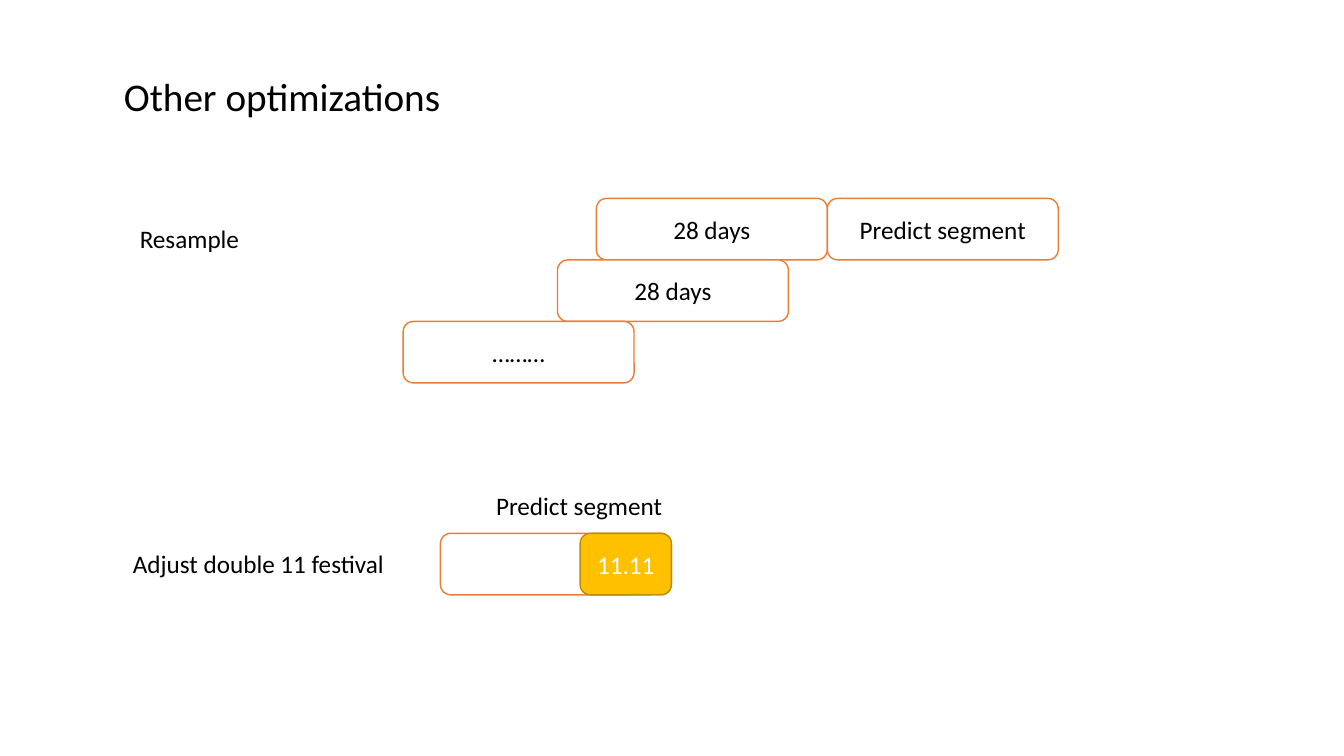
"""Build the slide on resampling and festival adjustment."""
from pptx import Presentation
from pptx.dml.color import RGBColor
from pptx.enum.shapes import MSO_SHAPE
from pptx.enum.text import MSO_ANCHOR, MSO_AUTO_SIZE, PP_ALIGN
from pptx.util import Cm, Pt

BLACK = RGBColor(0x00, 0x00, 0x00)
WHITE = RGBColor(0xFF, 0xFF, 0xFF)
ORANGE = RGBColor(0xED, 0x7D, 0x31)
GOLD = RGBColor(0xFF, 0xC0, 0x00)
DARK_GOLD = RGBColor(0xBD, 0x8E, 0x00)
ROUNDED = MSO_SHAPE.ROUNDED_RECTANGLE
LEFT, CENTER = PP_ALIGN.LEFT, PP_ALIGN.CENTER
TOP, MIDDLE = MSO_ANCHOR.TOP, MSO_ANCHOR.MIDDLE
GROW = MSO_AUTO_SIZE.SHAPE_TO_FIT_TEXT

SEGMENT_WIDTH = 5.82
SEGMENT_HEIGHT = 1.55
RESAMPLE_LEFT = 15.03
RESAMPLE_TOP = 5
FESTIVAL_LEFT = 11.1
FESTIVAL_TOP = 13.44
FESTIVAL_WIDTH = 2.3


def write(shape, text, size, color, align, anchor):
    frame = shape.text_frame
    frame.vertical_anchor = anchor
    para = frame.paragraphs[0]
    para.text = text
    para.alignment = align
    para.font.name = "Calibri"
    para.font.size = Pt(size)
    para.font.color.rgb = color


deck = Presentation()
deck.slide_width = Cm(33.87)
deck.slide_height = Cm(19.05)
page = deck.slides.add_slide(deck.slide_layouts[5])

title = page.shapes.title
title.left, title.top, title.width, title.height = Cm(2.87), Cm(1.7), Cm(12.9), Cm(1.45)
write(title, "Other optimizations", 28, BLACK, LEFT, TOP)
title.text_frame.word_wrap = True
title.text_frame.auto_size = GROW

labels = [
    ("Resample", 3.25, 5.51, 3.05, CENTER),
    ("Adjust double 11 festival", 3.1, 13.69, 6.91, LEFT),
    ("Predict segment", 12.22, 12.24, 4.75, CENTER),
]
for text, left, top, width, align in labels:
    label = page.shapes.add_textbox(Cm(left), Cm(top), Cm(width), Cm(1.02))
    write(label, text, 18, BLACK, align, TOP)
    label.text_frame.word_wrap = False
    label.text_frame.auto_size = GROW

festival_day_left = FESTIVAL_LEFT + SEGMENT_WIDTH - FESTIVAL_WIDTH
segments = [
    ("28 days", RESAMPLE_LEFT, RESAMPLE_TOP, SEGMENT_WIDTH, WHITE, ORANGE, BLACK),
    ("Predict segment", RESAMPLE_LEFT + SEGMENT_WIDTH, RESAMPLE_TOP, SEGMENT_WIDTH, WHITE, ORANGE, BLACK),
    ("28 days", 14.05, RESAMPLE_TOP + SEGMENT_HEIGHT, SEGMENT_WIDTH, WHITE, ORANGE, BLACK),
    ("………", 10.16, RESAMPLE_TOP + 2 * SEGMENT_HEIGHT, SEGMENT_WIDTH, WHITE, ORANGE, BLACK),
    ("", FESTIVAL_LEFT, FESTIVAL_TOP, SEGMENT_WIDTH, WHITE, ORANGE, BLACK),
    ("11.11", festival_day_left, FESTIVAL_TOP, FESTIVAL_WIDTH, GOLD, DARK_GOLD, WHITE),
]
for text, left, top, width, fill, line, color in segments:
    segment = page.shapes.add_shape(ROUNDED, Cm(left), Cm(top), Cm(width), Cm(SEGMENT_HEIGHT))
    segment.shadow.inherit = False
    segment.fill.solid()
    segment.fill.fore_color.rgb = fill
    segment.line.color.rgb = line
    segment.line.width = Pt(1)
    write(segment, text, 18, color, CENTER, MIDDLE)

deck.save("out.pptx")
